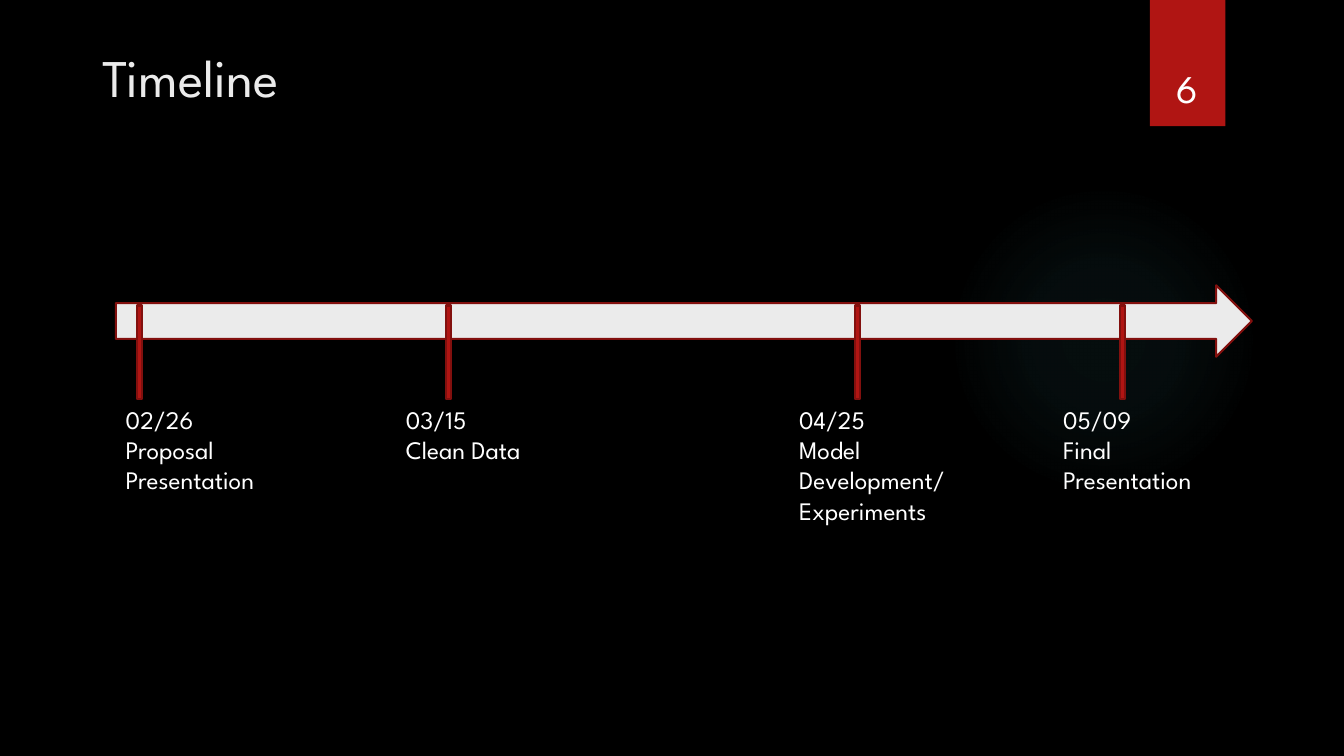
import pptx
import pptx.dml.color
import pptx.enum.shapes
import pptx.enum.text
import pptx.oxml
import pptx.oxml.ns
import pptx.util

Cm = pptx.util.Cm
Pt = pptx.util.Pt
MSO_SHAPE = pptx.enum.shapes.MSO_SHAPE
ANCHOR = pptx.enum.text.MSO_ANCHOR

RED, DARK_RED = "B01513", "82100E"
PALE, WHITE = "EBEBEB", "FFFFFF"


def add_filled(preset, box, fill, outline=None):
    """Add a shadowless shape; box is left, top, width, height in cm."""
    shape = slide.shapes.add_shape(preset, *map(Cm, box))
    shape.shadow.inherit = False
    shape.fill.solid()
    shape.fill.fore_color.rgb = pptx.dml.color.RGBColor.from_string(fill)
    if outline:
        shape.line.color.rgb = pptx.dml.color.RGBColor.from_string(outline)
        shape.line.width = Pt(1.5)
    else:
        shape.line.fill.background()
    return shape


def write(frame, text, size, color, anchor):
    frame.text = text
    frame.word_wrap = True
    frame.vertical_anchor = anchor
    for paragraph in frame.paragraphs:
        for run in paragraph.runs:
            run.font.name = "League Spartan"
            run.font.size = Pt(size)
            run.font.color.rgb = pptx.dml.color.RGBColor.from_string(color)


deck = pptx.Presentation()
deck.slide_width, deck.slide_height = Cm(33.87), Cm(19.05)
slide = deck.slides.add_slide(deck.slide_layouts[5])
slide.background.fill.solid()
slide.background.fill.fore_color.rgb = pptx.dml.color.RGBColor.from_string("000000")

# Faint radial glow behind the end of the timeline
glow = add_filled(MSO_SHAPE.OVAL, (23.9, 4.65, 7.82, 7.82), "50B9C1")
stops = "".join(
    f'<a:gs pos="{position * 1000}"><a:srgbClr val="50B9C1">'
    f'<a:alpha val="{opacity * 1000}"/></a:srgbClr></a:gs>'
    for position, opacity in ((0, 7), (36, 6), (69, 0))
)
gradient = pptx.oxml.parse_xml(
    f'<a:gradFill {pptx.oxml.ns.nsdecls("a")}><a:gsLst>{stops}</a:gsLst>'
    '<a:path path="circle"><a:fillToRect l="50000" t="50000" r="50000" b="50000"/>'
    "</a:path></a:gradFill>"
)
properties = glow._element.spPr
properties.replace(properties.find(pptx.oxml.ns.qn("a:solidFill")), gradient)

# Title and page number
add_filled(MSO_SHAPE.RECTANGLE, (28.98, 0, 1.9, 3.18), RED)

title = slide.shapes.title
title.left, title.top, title.width, title.height = map(Cm, (2.34, 1.02, 29.21, 1.8))
write(title.text_frame, "Timeline", 37.8, PALE, ANCHOR.MIDDLE)
title.text_frame.paragraphs[0].alignment = pptx.enum.text.PP_ALIGN.LEFT

page_number = slide.shapes.add_textbox(*map(Cm, (28.75, 0.81, 2.34, 2.13)))
write(page_number.text_frame, "6", 28, WHITE, ANCHOR.BOTTOM)
page_number.text_frame.paragraphs[0].alignment = pptx.enum.text.PP_ALIGN.CENTER

# Timeline arrow with its milestones
add_filled(MSO_SHAPE.RIGHT_ARROW, (2.92, 7.19, 28.63, 1.8), PALE, DARK_RED)

milestones = [  # marker left, label left, label width, label height, text
    (3.45, 2.92, 4.37, 2.57, "02/26\nProposal\nPresentation"),
    (11.23, 9.98, 4.17, 1.8, "03/15\nClean Data"),
    (21.54, 19.89, 4.98, 4.11, "04/25\nModel Development/ Experiments"),
    (28.22, 26.54, 4.98, 2.57, "05/09\nFinal Presentation"),
]
for marker_left, label_left, width, height, text in milestones:
    add_filled(MSO_SHAPE.RECTANGLE, (marker_left, 7.7, 0.13, 2.36), RED, DARK_RED)
    label = slide.shapes.add_textbox(*map(Cm, (label_left, 10.06, width, height)))
    write(label.text_frame, text, 18, WHITE, ANCHOR.TOP)

deck.save("out.pptx")
